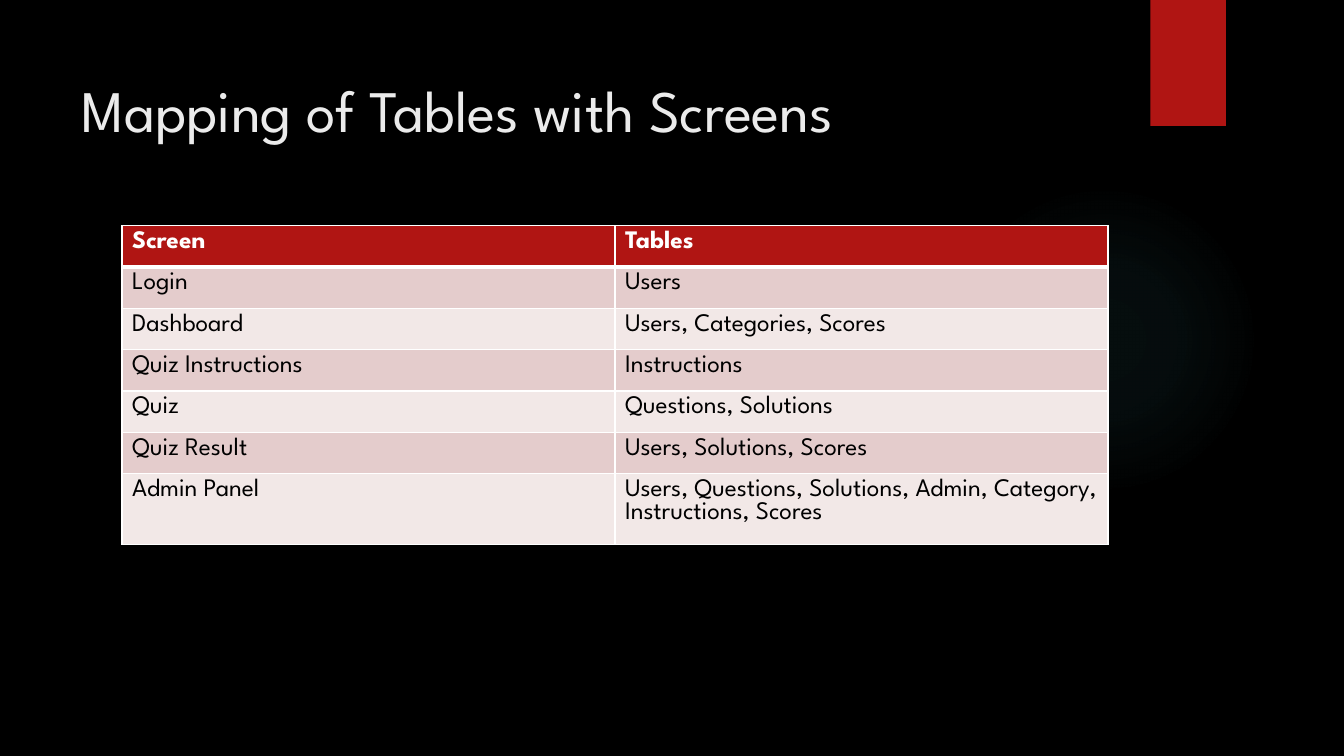
from dataclasses import dataclass

from lxml.etree import SubElement
from pptx import Presentation
from pptx.dml.color import RGBColor as RGB
from pptx.enum.shapes import MSO_SHAPE as SHAPE
from pptx.enum.text import MSO_ANCHOR as ANCHOR
from pptx.oxml import parse_xml
from pptx.oxml.ns import nsdecls, qn
from pptx.util import Emu, Inches, Pt

COLORS = {
    "background": "000000",
    "accent": "B01513",
    "glow": "50B9C1",
    "title": "EBEBEB",
    "white": "FFFFFF",
    "text": "000000",
    "odd_row": "E4CCCC",
    "even_row": "F2E8E7",
}
FONT = "League Spartan"
WIDTH, HEIGHT = Inches(13.33), Inches(7.5)
UNIT = Inches(0.01)
ROW_HEIGHT = 41
COLUMN_WIDTH = 489
GLOW_STOPS = ((0, 7), (36, 6), (69, 0))
SCREENS = (
    ("Screen", "Tables"),
    ("Login", "Users"),
    ("Dashboard", "Users, Categories, Scores"),
    ("Quiz Instructions", "Instructions"),
    ("Quiz", "Questions, Solutions"),
    ("Quiz Result", "Users, Solutions, Scores"),
    ("Admin Panel", "Users, Questions, Solutions, Admin, Category, Instructions, Scores"),
)


@dataclass(frozen=True)
class Box:
    col: int
    row: int
    cols: int
    rows: int

    def emu(self) -> tuple:
        return tuple(Emu(n * UNIT) for n in (self.col, self.row, self.cols, self.rows))


@dataclass(frozen=True)
class Style:
    size: int
    color: str
    bold: bool = False


GLOW = Box(941, 183, 308, 308)
TAB = Box(1141, 0, 75, 125)
TITLE = Box(71, 50, 1029, 153)
TABLE = Box(121, 224, 2 * COLUMN_WIDTH, len(SCREENS) * ROW_HEIGHT)


def color(name: str) -> RGB:
    return RGB.from_string(COLORS[name])


def write(tf, text: str, style: Style) -> None:
    r = tf.paragraphs[0].add_run()
    r.text = text
    r.font.name = FONT
    r.font.size = Pt(style.size)
    r.font.bold = style.bold
    r.font.color.rgb = color(style.color)


def add_plain(s, shape: SHAPE, box: Box, fill: str):
    sp = s.shapes.add_shape(shape, *box.emu())
    sp.shadow.inherit = False
    sp.fill.solid()
    sp.fill.fore_color.rgb = color(fill)
    sp.line.fill.background()
    return sp


def add_glow(s) -> None:
    sp = add_plain(s, SHAPE.OVAL, GLOW, "glow")
    stops = "".join(
        f'<a:gs pos="{pos * 1000}"><a:srgbClr val="{COLORS["glow"]}">'
        f'<a:alpha val="{alpha * 1000}"/></a:srgbClr></a:gs>'
        for pos, alpha in GLOW_STOPS
    )
    gradient = parse_xml(
        f'<a:gradFill {nsdecls("a")}><a:gsLst>{stops}</a:gsLst><a:path path="circle">'
        '<a:fillToRect l="50000" t="50000" r="50000" b="50000"/></a:path></a:gradFill>'
    )
    spPr = sp._element.spPr
    spPr.replace(spPr.find(qn("a:solidFill")), gradient)


def add_title(s) -> None:
    tf = s.shapes.add_textbox(*TITLE.emu()).text_frame
    tf.word_wrap = True
    tf.vertical_anchor = ANCHOR.TOP
    tf.margin_top = Inches(0.23)
    write(tf, "Mapping of Tables with Screens", Style(42, "title"))


def set_borders(cell, top: int, bottom: int) -> None:
    tcPr = cell._tc.get_or_add_tcPr()
    for side, points in (("L", 1), ("R", 1), ("T", top), ("B", bottom)):
        ln = SubElement(tcPr, qn(f"a:ln{side}"), w=str(Pt(points)))
        fill = SubElement(ln, qn("a:solidFill"))
        SubElement(fill, qn("a:srgbClr"), val=COLORS["white"])


def add_screen_table(s) -> None:
    table = s.shapes.add_table(len(SCREENS), 2, *TABLE.emu()).table
    for i, texts in enumerate(SCREENS):
        header = i == 0
        fill = "accent" if header else "odd_row" if i % 2 else "even_row"
        style = Style(18, "white" if header else "text", header)
        for j, text in enumerate(texts):
            cell = table.cell(i, j)
            set_borders(cell, 3 if i == 1 else 1, 3 if header else 1)
            cell.fill.solid()
            cell.fill.fore_color.rgb = color(fill)
            write(cell.text_frame, text, style)


def main() -> None:
    prs = Presentation()
    prs.slide_width, prs.slide_height = WIDTH, HEIGHT
    s = prs.slides.add_slide(prs.slide_layouts[6])
    s.background.fill.solid()
    s.background.fill.fore_color.rgb = color("background")
    add_glow(s)
    add_plain(s, SHAPE.RECTANGLE, TAB, "accent")
    add_title(s)
    add_screen_table(s)
    prs.save("out.pptx")


if __name__ == "__main__":
    main()
